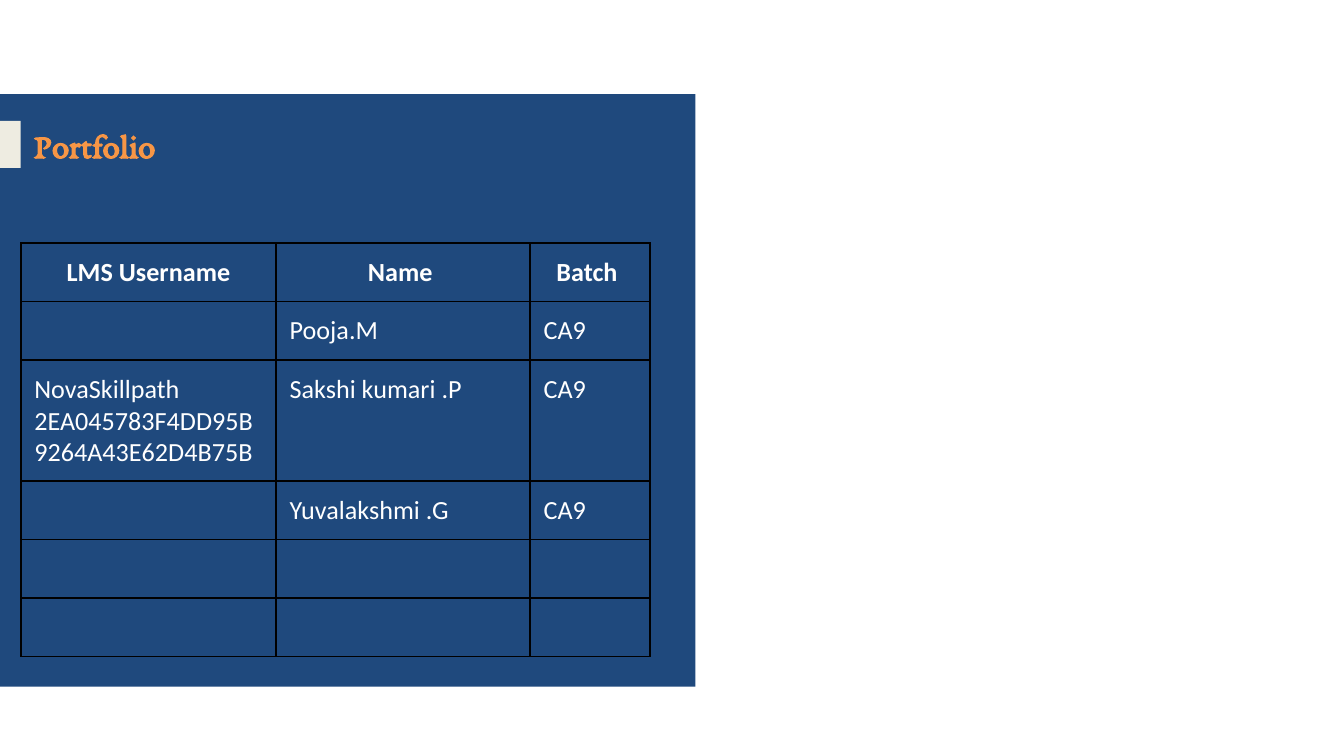
from dataclasses import dataclass

from lxml import etree
from pptx import Presentation
from pptx.dml.color import RGBColor
from pptx.enum.shapes import MSO_SHAPE
from pptx.enum.text import MSO_ANCHOR, PP_ALIGN
from pptx.oxml.ns import qn
from pptx.util import Pt

RECTANGLE = MSO_SHAPE.RECTANGLE
MIDDLE = MSO_ANCHOR.MIDDLE
CENTER, LEFT = PP_ALIGN.CENTER, PP_ALIGN.LEFT
PX = 4572


@dataclass(frozen=True)
class Theme:
    panel: str = "1F497D"
    tab: str = "EEECE1"
    title: str = "F79646"
    text: str = "FFFFFF"
    border: str = "000000"
    title_font: str = "EB Garamond"
    body_font: str = "Calibri"
    title_size: float = 18.3
    body_size: int = 14
    border_width: float = 1


THEME = Theme()
COLUMNS = [380, 378, 178]
ROW_HEIGHT = 87
CELL_MARGIN = 20
ROWS = [
    ["LMS Username", "Name ", "Batch "],
    ["", "Pooja.M", "CA9"],
    ["NovaSkillpath 2EA045783F4DD95B9264A43E62D4B75B", "Sakshi kumari .P", "CA9"],
    ["", "Yuvalakshmi .G", "CA9"],
    ["", "", ""],
    ["", "", ""],
]


def emu(*lengths):
    return [length * PX for length in lengths]


def add_block(page, box, color):
    block = page.shapes.add_shape(RECTANGLE, *emu(*box))
    block.shadow.inherit = False
    block.fill.solid()
    block.fill.fore_color.rgb = RGBColor.from_string(color)
    block.line.fill.background()


def style_span(span, font, size, color, bold):
    span.font.name = font
    span.font.size = Pt(size)
    span.font.color.rgb = RGBColor.from_string(color)
    span.font.bold = bold


def add_title(page, box, text):
    left, top, width, height = box
    add_block(page, (0, top + 3, left, height - 6), THEME.tab)
    frame = page.shapes.add_textbox(*emu(*box)).text_frame
    frame.word_wrap = True
    frame.vertical_anchor = MIDDLE
    frame.text = text
    span = frame.paragraphs[0].runs[0]
    style_span(span, THEME.title_font, THEME.title_size, THEME.title, True)


def add_borders(cell):
    properties = cell._tc.get_or_add_tcPr()
    for position, side in enumerate(("lnL", "lnR", "lnT", "lnB")):
        line = etree.Element(qn(f"a:{side}"), w=str(Pt(THEME.border_width)))
        fill = etree.SubElement(line, qn("a:solidFill"))
        etree.SubElement(fill, qn("a:srgbClr"), val=THEME.border)
        properties.insert(position, line)


def fill_cell(cell, text, header):
    cell.fill.background()
    cell.margin_left = cell.margin_right = CELL_MARGIN * PX
    cell.margin_top = cell.margin_bottom = CELL_MARGIN * PX
    add_borders(cell)
    para = cell.text_frame.paragraphs[0]
    para.text = text
    para.alignment = CENTER if header else LEFT
    for span in para.runs:
        style_span(span, THEME.body_font, THEME.body_size, THEME.text, header)
    if not text:
        ending = etree.SubElement(para._p, qn("a:endParaRPr"), sz=str(THEME.body_size * 100))
        etree.SubElement(ending, qn("a:latin"), typeface=THEME.body_font)


def add_member_table(page, left, top):
    box = (left, top, sum(COLUMNS), ROW_HEIGHT * len(ROWS))
    table = page.shapes.add_table(len(ROWS), len(COLUMNS), *emu(*box)).table
    table.first_row = False
    table.horz_banding = False
    for column, width in zip(table.columns, COLUMNS):
        column.width = width * PX
    for row_index, values in enumerate(ROWS):
        table.rows[row_index].height = ROW_HEIGHT * PX
        for column_index, text in enumerate(values):
            fill_cell(table.cell(row_index, column_index), text, row_index == 0)


def add_portfolio(page, box):
    left, top, width, height = box
    add_block(page, box, THEME.panel)
    add_title(page, (left + 31, top + 37, 748, 76), "Portfolio")
    add_member_table(page, left + 31, top + 222)


def main():
    deck = Presentation()
    deck.slide_width, deck.slide_height = emu(2000, 1125)
    page = deck.slides.add_slide(deck.slide_layouts[6])
    add_portfolio(page, (0, 140, 1035, 882))
    deck.save("out.pptx")


if __name__ == "__main__":
    main()
